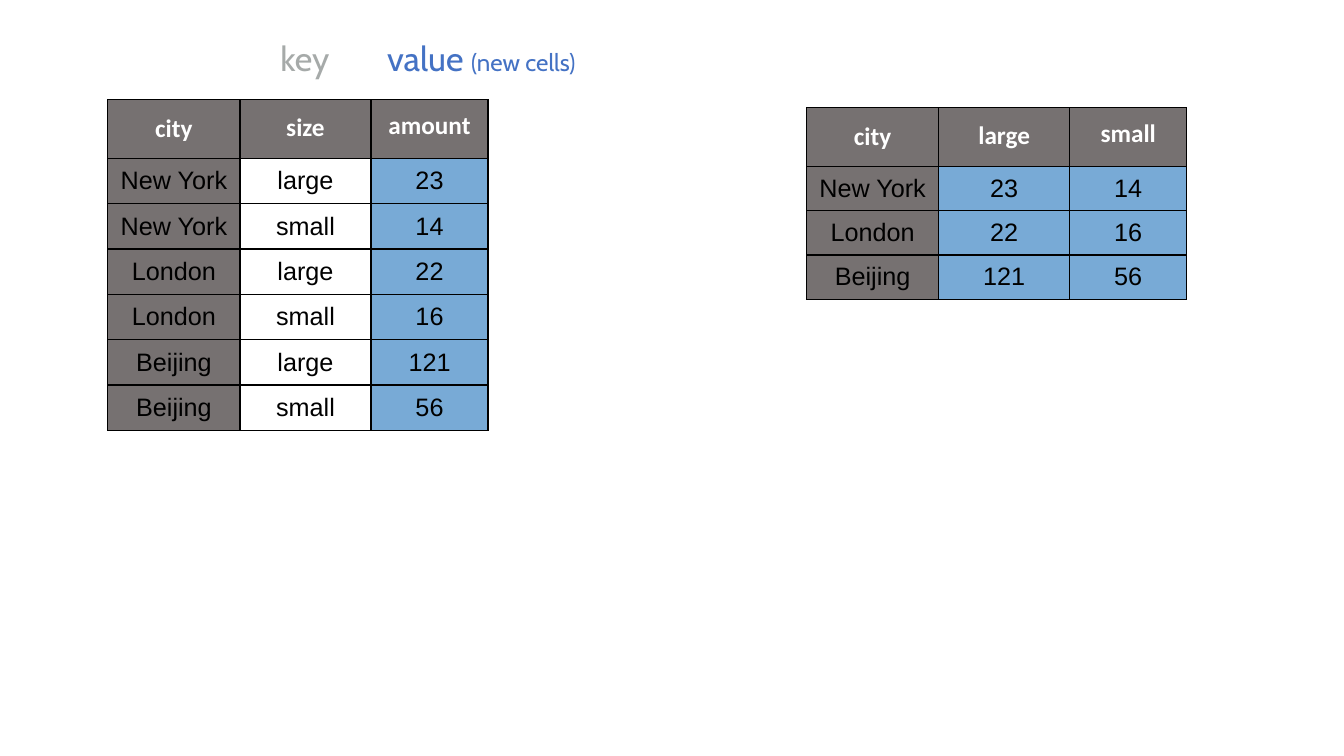
"""Build a slide that spreads a key and value table into wide form."""
from dataclasses import dataclass
from typing import Optional

from lxml import etree
from pptx import Presentation
from pptx import util as u
from pptx.dml.color import RGBColor
from pptx.enum import text as t
from pptx.oxml import ns

GREY = RGBColor(0x76, 0x71, 0x71)
BLUE = RGBColor(0x78, 0xAA, 0xD6)
WHITE = RGBColor(0xFF, 0xFF, 0xFF)
BLACK = RGBColor(0, 0, 0)
KEY = RGBColor(0xA6, 0xAA, 0xA9)
VALUE = RGBColor(0x44, 0x72, 0xC4)

WIDTHS = (1.31, 1.3, 1.16)
LEADS = (1.0, 0.8, 0.6)
HEAD = 0.58


@dataclass
class Grid:
    left: float
    top: float
    row: float
    fills: tuple[Optional[RGBColor], ...]
    rows: list[tuple[str, ...]]


@dataclass
class Label:
    left: float
    color: RGBColor
    runs: list[tuple[str, float]]


GRIDS = [
    Grid(1.07, 0.99, 0.45, (GREY, None, BLUE), [
        ("city", "size", "amount"),
        ("New York", "large", "23"),
        ("New York", "small", "14"),
        ("London", "large", "22"),
        ("London", "small", "16"),
        ("Beijing", "large", "121"),
        ("Beijing", "small", "56"),
    ]),
    Grid(8, 1.07, 0.44, (GREY, BLUE, BLUE), [
        ("city", "large", "small"),
        ("New York", "23", "14"),
        ("London", "22", "16"),
        ("Beijing", "121", "56"),
    ]),
]
LABELS = [
    Label(2.74, KEY, [("key", 24.4)]),
    Label(3.8, VALUE, [("value ", 24.4), ("(new cells)", 17.2)]),
]


def write(para, words: str, *, face: str, color: RGBColor,
          size: float = 18, bold: bool = False) -> None:
    """Add a run of text in the given format."""
    run = para.add_run()
    run.text = words
    font = run.font
    font.name, font.size, font.bold = face, u.Pt(size), bold
    font.color.rgb = color


def inset(box, gap: float) -> None:
    """Give a cell or text frame the same margin on all sides."""
    box.margin_left = box.margin_right = u.Inches(gap)
    box.margin_top = box.margin_bottom = u.Inches(gap)
    box.vertical_anchor = t.MSO_ANCHOR.MIDDLE


def border(cell) -> None:
    """Draw thin black lines around a cell."""
    props = cell._tc.get_or_add_tcPr()
    for side in ("lnL", "lnR", "lnT", "lnB"):
        line = etree.SubElement(props, ns.qn(f"a:{side}"), w=str(u.Pt(1)))
        fill = etree.SubElement(line, ns.qn("a:solidFill"))
        etree.SubElement(fill, ns.qn("a:srgbClr"), val=str(BLACK))


def draw_grid(slide, grid: Grid) -> None:
    """Draw a table with a header row and coloured columns."""
    count = len(grid.rows)
    high = HEAD + grid.row * (count - 1)
    table = slide.shapes.add_table(
        count, len(WIDTHS), u.Inches(grid.left), u.Inches(grid.top),
        u.Inches(sum(WIDTHS)), u.Inches(high)).table
    table.first_row = table.horz_banding = False
    for col, width in zip(table.columns, WIDTHS):
        col.width = u.Inches(width)
    for r, row in enumerate(grid.rows):
        head = r == 0
        table.rows[r].height = u.Inches(HEAD if head else grid.row)
        for c, words in enumerate(row):
            cell = table.cell(r, c)
            inset(cell, 0.03)
            border(cell)
            tint = GREY if head else grid.fills[c]
            if tint is None:
                cell.fill.background()
            else:
                cell.fill.solid()
                cell.fill.fore_color.rgb = tint
            para = cell.text_frame.paragraphs[0]
            para.alignment = t.PP_ALIGN.CENTER
            para.line_spacing = LEADS[c] if head else 1.0
            write(para, words, face="Calibri" if head else "Arial",
                  color=WHITE if head else BLACK, bold=head)


def draw_label(slide, label: Label) -> None:
    """Draw a caption above a column."""
    frame = slide.shapes.add_textbox(
        u.Inches(label.left), u.Inches(0.32),
        u.Inches(3.54), u.Inches(0.5)).text_frame
    frame.word_wrap = True
    inset(frame, 0.04)
    for words, size in label.runs:
        write(frame.paragraphs[0], words, face="Cabin",
              color=label.color, size=size)


def main() -> None:
    """Build and save the deck."""
    deck = Presentation()
    deck.slide_width, deck.slide_height = u.Inches(13.33), u.Inches(7.5)
    slide = deck.slides.add_slide(deck.slide_layouts[6])
    for grid in GRIDS:
        draw_grid(slide, grid)
    for label in LABELS:
        draw_label(slide, label)
    deck.save("out.pptx")


if __name__ == "__main__":
    main()
